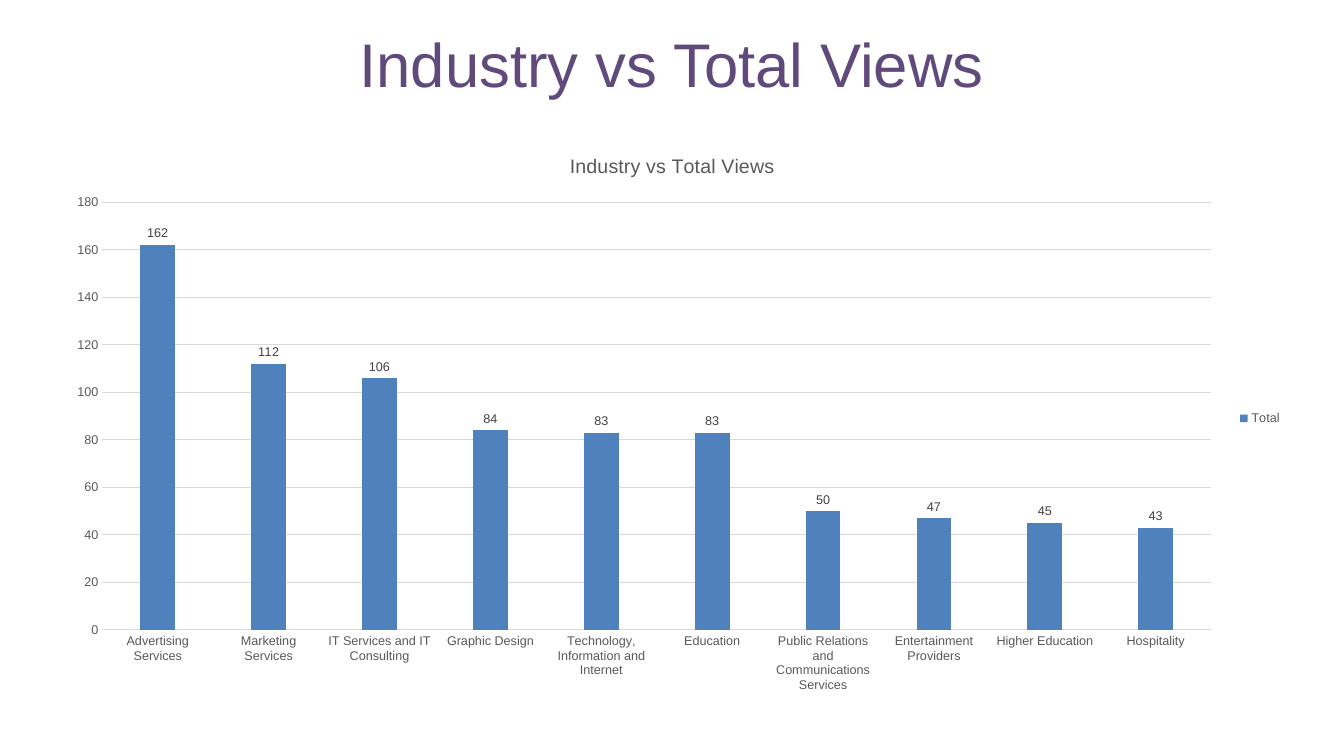
import pptx
import pptx.chart.data
import pptx.dml.color
import pptx.enum.chart
import pptx.enum.text
import pptx.util

Pt = pptx.util.Pt
TITLE = "Industry vs Total Views"
SERIES = "Total"
VIEWS = [
    ("Advertising Services", 162),
    ("Marketing Services", 112),
    ("IT Services and IT Consulting", 106),
    ("Graphic Design", 84),
    ("Technology, Information and Internet", 83),
    ("Education", 83),
    ("Public Relations and Communications Services", 50),
    ("Entertainment Providers", 47),
    ("Higher Education", 45),
    ("Hospitality", 43),
]
FONT = "Arial"
COLORS = {
    "title": "604A7B",
    "bar": "4F81BD",
    "text": "595959",
    "label": "404040",
    "grid": "D9D9D9",
    "base": "000000",
}


def rgb(name):
    return pptx.dml.color.RGBColor.from_string(COLORS[name])


def format_font(font, size=9, color="text"):
    font.name = FONT
    font.size = Pt(size)
    font.bold = False
    font.color.rgb = rgb(color)


def write_text(tf, text, size, color, spacing=None):
    p = tf.paragraphs[0]
    p.alignment = pptx.enum.text.PP_ALIGN.CENTER
    p.line_spacing = spacing
    r = p.add_run()
    r.text = text
    format_font(r.font, size, color)


def format_line(line, color):
    line.color.rgb = rgb(color)
    line.width = Pt(0.75)


def add_title(s):
    sp = s.shapes.title
    sp.left, sp.top, sp.width, sp.height = Pt(66), Pt(25), Pt(828), Pt(46)
    tf = sp.text_frame
    tf.word_wrap = True
    tf.auto_size = pptx.enum.text.MSO_AUTO_SIZE.NONE
    tf.vertical_anchor = pptx.enum.text.MSO_ANCHOR.MIDDLE
    write_text(tf, TITLE, size=44, color="title", spacing=0.9)


def add_views_chart(s):
    data = pptx.chart.data.CategoryChartData()
    data.categories = [industry for industry, views in VIEWS]
    data.add_series(SERIES, [views for industry, views in VIEWS])
    chart = s.shapes.add_chart(
        pptx.enum.chart.XL_CHART_TYPE.COLUMN_CLUSTERED,
        Pt(37.5), Pt(95), Pt(885.5), Pt(408), data,
    ).chart
    format_font(chart.font, 10, "base")
    chart.has_title = True
    write_text(chart.chart_title.text_frame, TITLE, size=14, color="text")
    chart.chart_title.include_in_layout = False

    chart.has_legend = True
    chart.legend.position = pptx.enum.chart.XL_LEGEND_POSITION.RIGHT
    chart.legend.include_in_layout = False
    format_font(chart.legend.font)

    for axis in (chart.category_axis, chart.value_axis):
        axis.major_tick_mark = pptx.enum.chart.XL_TICK_MARK.NONE
        axis.minor_tick_mark = pptx.enum.chart.XL_TICK_MARK.NONE
        format_font(axis.tick_labels.font)
    format_line(chart.category_axis.format.line, "grid")
    axis = chart.value_axis
    axis.minimum_scale, axis.maximum_scale, axis.major_unit = 0, 180, 20
    axis.format.line.fill.background()
    axis.has_major_gridlines = True
    format_line(axis.major_gridlines.format.line, "grid")

    plot = chart.plots[0]
    plot.vary_by_categories = False
    plot.gap_width, plot.overlap = 219, -27
    series = plot.series[0]
    series.format.fill.solid()
    series.format.fill.fore_color.rgb = rgb("bar")
    labels = series.data_labels
    labels.show_value = True
    labels.position = pptx.enum.chart.XL_LABEL_POSITION.OUTSIDE_END
    format_font(labels.font, color="label")


def main():
    prs = pptx.Presentation()
    prs.slide_width, prs.slide_height = Pt(960), Pt(540)
    s = prs.slides.add_slide(prs.slide_layouts[5])
    add_title(s)
    add_views_chart(s)
    prs.save("out.pptx")


if __name__ == "__main__":
    main()
